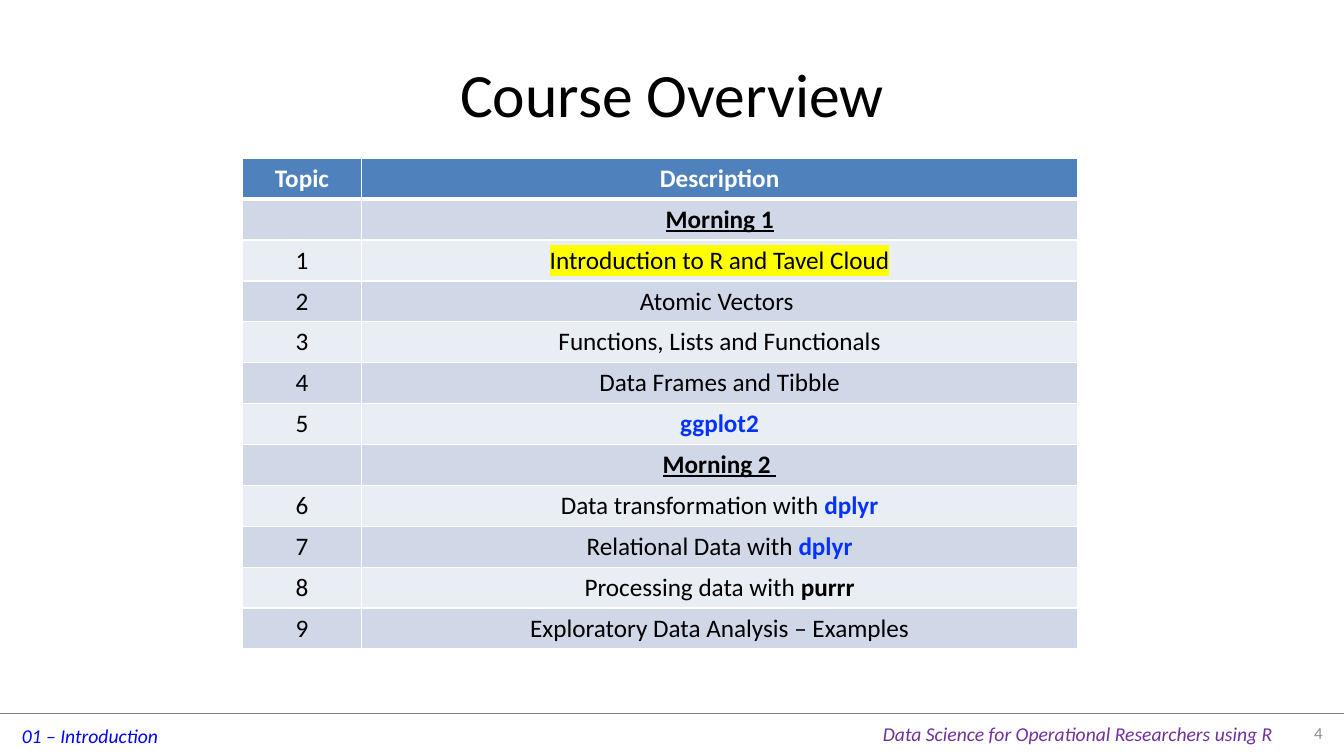
import pptx
import pptx.dml.color
import pptx.enum.shapes
import pptx.enum.text
import pptx.oxml
import pptx.oxml.ns
import pptx.util

Cm = pptx.util.Cm
Pt = pptx.util.Pt
Align = pptx.enum.text.PP_ALIGN
Anchor = pptx.enum.text.MSO_ANCHOR
rgb = pptx.dml.color.RGBColor.from_string


class Theme:
    font = "Calibri"
    black, white, grey, rule = "000000", "FFFFFF", "8C8C8C", "808080"
    blue, purple, code, mark = "0000FF", "7030A0", "0432FF", "FFFF00"
    head, dark, light = "4F81BD", "D0D8E8", "E9EDF4"
    title, body, foot, number = 44, 18, 14, 12


def add_run(para, text, size, color=Theme.black, bold=False, italic=False, under=False, mark=None):
    run = para.add_run()
    run.text = text
    font = run.font
    font.size, font.bold, font.italic, font.underline = Pt(size), bold, italic, under
    font.color.rgb = rgb(color)
    font.name = Theme.font
    if mark:
        light = pptx.oxml.parse_xml(
            f'<a:highlight {pptx.oxml.ns.nsdecls("a")}><a:srgbClr val="{mark}"/></a:highlight>')
        font.fill._xPr.find(pptx.oxml.ns.qn("a:solidFill")).addnext(light)


def set_edges(cell, base):
    """Draw white borders round a cell, with the bottom one base points wide."""
    widths = {"lnL": 1, "lnR": 1, "lnT": 1, "lnB": base}
    props = cell._tc.get_or_add_tcPr()
    for spot, (tag, width) in enumerate(widths.items()):
        props.insert(spot, pptx.oxml.parse_xml(
            f'<a:{tag} {pptx.oxml.ns.nsdecls("a")} w="{Pt(width)}"><a:solidFill>'
            f'<a:srgbClr val="{Theme.white}"/></a:solidFill></a:{tag}>'))


deck = pptx.Presentation()
deck.slide_width, deck.slide_height = Cm(33.87), Cm(19.05)
slide = deck.slides.add_slide(deck.slide_layouts[6])

# Footer rule
rule = slide.shapes.add_connector(
    pptx.enum.shapes.MSO_CONNECTOR.STRAIGHT, Cm(0), Cm(17.96), Cm(33.87), Cm(17.96))
rule.line.color.rgb = rgb(Theme.rule)
rule.line.width = Pt(0.25)
rule._element.spPr.append(
    pptx.oxml.parse_xml(f'<a:effectLst {pptx.oxml.ns.nsdecls("a")}/>'))

# Title, footers and page number
labels = [
    ("01 – Introduction", (0.3, 18.11, 3.99, 0.86), False, Anchor.TOP, Align.LEFT,
     dict(size=Theme.foot, color=Theme.blue, italic=True)),
    ("Data Science for Operational Researchers using R", (22, 18.06, 10.44, 0.86),
     False, Anchor.TOP, Align.LEFT,
     dict(size=Theme.foot, color=Theme.purple, italic=True)),
    ("Course Overview", (1.7, 0.76, 30.48, 3.18), True, Anchor.MIDDLE, Align.CENTER,
     dict(size=Theme.title)),
    ("4", (32.18, 17.96, 1.4, 0.99), True, Anchor.MIDDLE, Align.RIGHT,
     dict(size=Theme.number, color=Theme.grey)),
]
for text, place, wrap, anchor, align, style in labels:
    frame = slide.shapes.add_textbox(*map(Cm, place)).text_frame
    frame.word_wrap = wrap
    frame.vertical_anchor = anchor
    frame.paragraphs[0].alignment = align
    add_run(frame.paragraphs[0], text, **style)

# Course table: each description is a list of runs with their styles
header = dict(color=Theme.white, bold=True)
part = dict(bold=True, under=True)
code = dict(color=Theme.code, bold=True)
rows = [
    ("Topic", [("Description", header)]),
    ("", [("Morning 1", part)]),
    ("1", [("Introduction to R and Tavel Cloud", dict(mark=Theme.mark))]),
    ("2", [("Atomic Vectors ", {})]),
    ("3", [("Functions, Lists and Functionals", {})]),
    ("4", [("Data Frames and Tibble", {})]),
    ("5", [("ggplot2", code)]),
    ("", [("Morning 2 ", part)]),
    ("6", [("Data transformation with ", {}), ("dplyr", code)]),
    ("7", [("Relational Data with ", {}), ("dplyr", code)]),
    ("8", [("Processing data with ", {}), ("purrr", dict(bold=True))]),
    ("9", [("Exploratory Data Analysis – Examples", {})]),
]
table = slide.shapes.add_table(
    len(rows), 2, Cm(6.1), Cm(3.99), Cm(21.05), Cm(12.36)).table
table.columns[0].width, table.columns[1].width = Cm(3.02), Cm(18.03)
for index, (topic, parts) in enumerate(rows):
    table.rows[index].height = Cm(1.03)
    first = index == 0
    fill = Theme.head if first else Theme.dark if index % 2 else Theme.light
    name = [(topic, header if first else {})] if topic else []
    for column, runs in enumerate((name, parts)):
        cell = table.cell(index, column)
        cell.fill.solid()
        cell.fill.fore_color.rgb = rgb(fill)
        set_edges(cell, 3 if first else 1)
        para = cell.text_frame.paragraphs[0]
        para.alignment = Align.CENTER
        for text, style in runs:
            add_run(para, text, Theme.body, **style)

deck.save("out.pptx")
